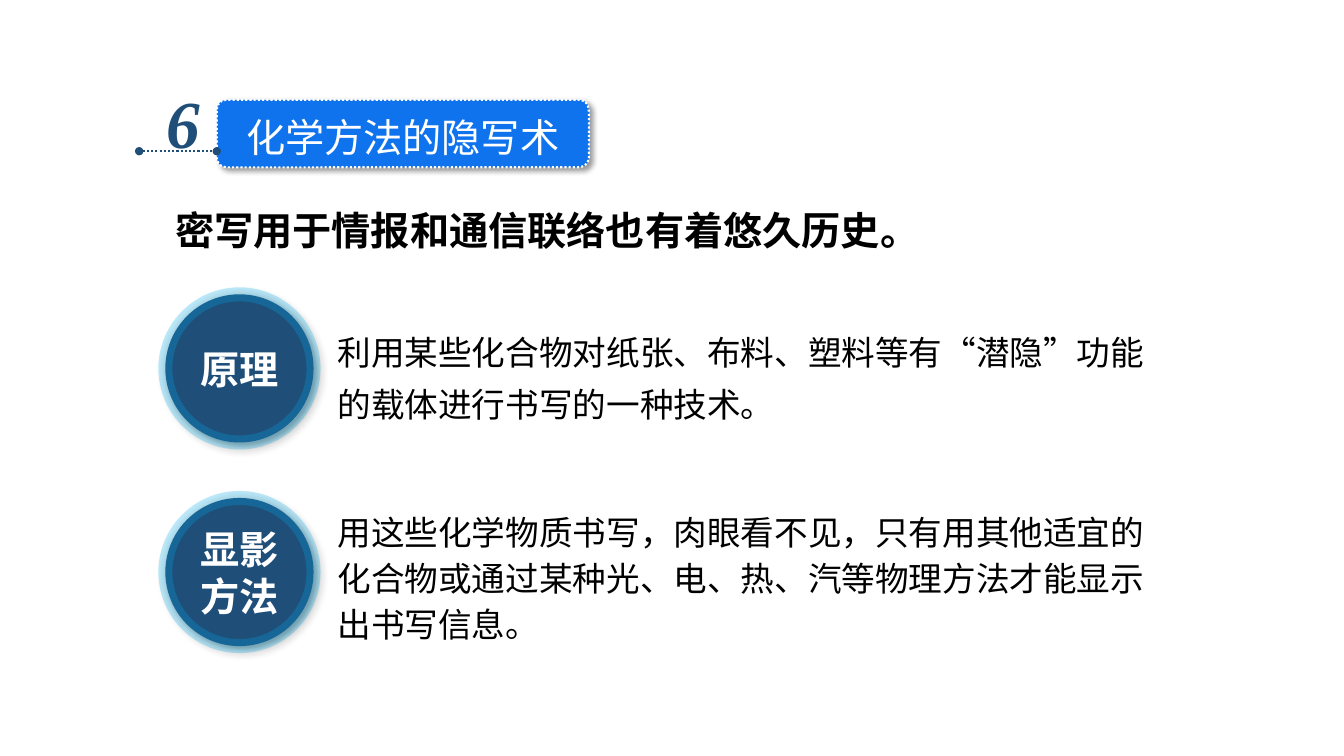
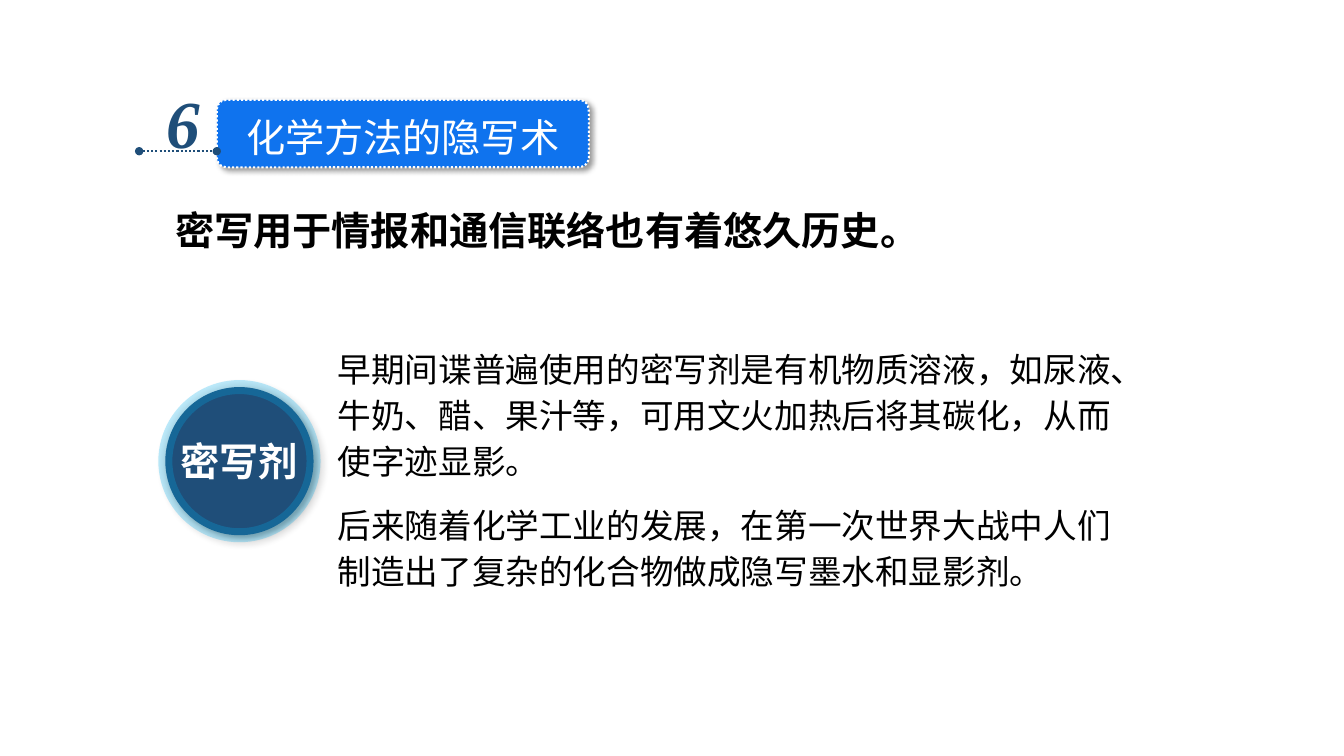
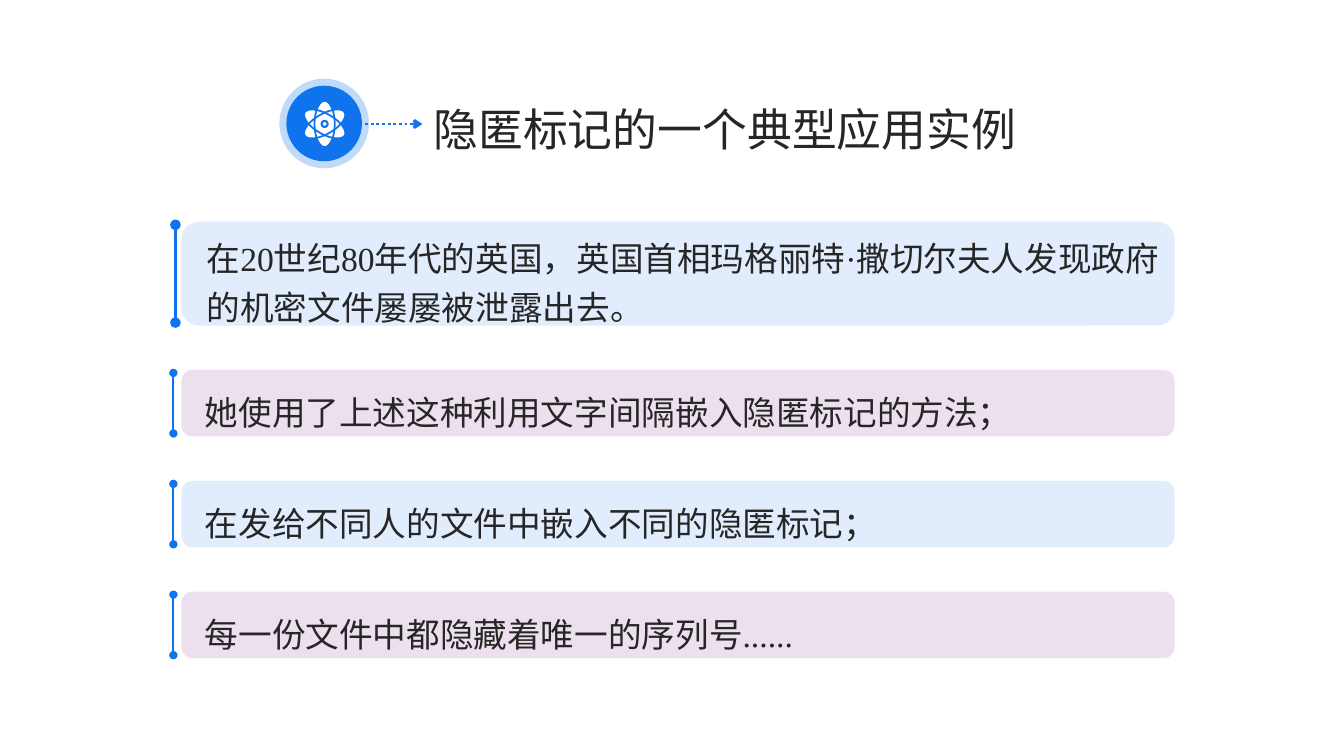
import pptx
import pptx.util
import pptx.dml.color
import pptx.enum.dml
import pptx.enum.lang
import pptx.enum.shapes
import pptx.enum.text
import pptx.oxml
import pptx.oxml.ns

Inches, Pt = pptx.util.Inches, pptx.util.Pt
qn = pptx.oxml.ns.qn
SHAPE = pptx.enum.shapes.MSO_SHAPE
ALIGN = pptx.enum.text.PP_ALIGN
ANCHOR = pptx.enum.text.MSO_ANCHOR

COLORS = {
    "blue": "0F73EE", "navy": "1F4E79", "sky": "00B0F0", "purple": "6E0876",
    "white": "FFFFFF", "black": "000000", "ink": "262626",
}
CJK, SERIF = "Noto Sans CJK SC", "Times New Roman"

# Text styles: font attributes, plus "color" and line "leading" in points
BODY = {"name": CJK, "size": Pt(24), "color": "black"}
STYLES = {
    "badge": {"name": CJK, "size": Pt(28), "color": "white", "leading": 33.6},
    "number": {"name": SERIF, "size": Pt(48), "bold": True, "italic": True,
               "color": "navy"},
    "lead": {"name": CJK, "size": Pt(28), "bold": True, "color": "black",
             "leading": 33.6},
    "disc": {"name": CJK, "size": Pt(28), "bold": True, "color": "white",
             "leading": 33.6},
    "loose": {**BODY, "leading": 37.4},
    "body": {**BODY, "leading": 32.8},
    "headline": {"name": CJK, "size": Pt(32), "color": "ink", "leading": 38.4},
    "row": {"name": SERIF, "size": Pt(24), "color": "ink", "leading": 34.6},
}


def rgb(name):
    return pptx.dml.color.RGBColor.from_string(COLORS[name])


def xml(tag, **attrs):
    el = pptx.oxml.parse_xml('<a:%s %s/>' % (tag, pptx.oxml.ns.nsdecls("a")))
    for key, value in attrs.items():
        el.set(key, str(value))
    return el


def set_alpha(parent, percent):
    clr = next(parent.iter(qn("a:srgbClr")))
    clr.append(xml("alpha", val=percent * 1000))


# Text
def write(sp, lines, style, align=ALIGN.LEFT, anchor=ANCHOR.TOP, wrap=True,
          insets=(0.1, 0.08, 0.1, 0.05)):
    tf = sp.text_frame
    tf.auto_size = pptx.enum.text.MSO_AUTO_SIZE.NONE
    tf.word_wrap = wrap
    tf.vertical_anchor = anchor
    for side, inset in zip(("left", "top", "right", "bottom"), insets):
        setattr(tf, "margin_" + side, Inches(inset))
    formats = dict(STYLES[style])
    color, leading = formats.pop("color"), formats.pop("leading", None)
    formats["language_id"] = pptx.enum.lang.MSO_LANGUAGE_ID.SIMPLIFIED_CHINESE
    for i, line in enumerate(lines):
        p = tf.add_paragraph() if i else tf.paragraphs[0]
        p.alignment = align
        p.space_before = Pt(0)
        if leading:
            p.line_spacing = Pt(leading)
        r = p.add_run()
        r.text = line
        for key, value in formats.items():
            setattr(r.font, key, value)
        r.font.color.rgb = rgb(color)
        r._r.get_or_add_rPr().append(xml("ea", typeface=CJK))


def add_text(s, box, text, style):
    sp = s.shapes.add_textbox(*map(Inches, box))
    write(sp, [text], style)


def set_title(s, box, text, style):
    sp = s.shapes.title
    sp.left, sp.top, sp.width, sp.height = map(Inches, box)
    write(sp, [text], style)
    s.shapes._spTree.append(sp._element)  # bring in front of the badge


# Shapes and lines
def add_shape(s, kind, box, fill=None, fill_alpha=None, line=None, width=1,
              line_alpha=None, shadow=False):
    sp = s.shapes.add_shape(kind, *map(Inches, box))
    sp.shadow.inherit = False
    if fill:
        sp.fill.solid()
        sp.fill.fore_color.rgb = rgb(fill)
        if fill_alpha:
            set_alpha(sp.fill._xPr.find(qn("a:solidFill")), fill_alpha)
    else:
        sp.fill.background()
    if line:
        sp.line.color.rgb = rgb(line)
        sp.line.width = Pt(width)
        if line_alpha:
            set_alpha(sp.line._get_or_add_ln(), line_alpha)
    else:
        sp.line.fill.background()
    if shadow:
        outer = xml("outerShdw", blurRad=Pt(4), dist=Pt(3), dir=45 * 60000,
                    algn="tl", rotWithShape=0)
        clr = xml("srgbClr", val=COLORS["black"])
        clr.append(xml("alpha", val=40000))
        outer.append(clr)
        sp._element.spPr.find(qn("a:effectLst")).append(outer)
    return sp


def add_line(s, start, end, color, width, dotted=False, head=None, tail=None):
    c = s.shapes.add_connector(pptx.enum.shapes.MSO_CONNECTOR.STRAIGHT,
                               *map(Inches, start + end))
    c.line.color.rgb = rgb(color)
    c.line.width = Pt(width)
    if dotted:
        c.line.dash_style = pptx.enum.dml.MSO_LINE.ROUND_DOT
    ln = c.line._get_or_add_ln()
    for tag, kind in (("headEnd", head), ("tailEnd", tail)):
        if kind:
            ln.append(xml(tag, type=kind))
    c._element.spPr.append(xml("effectLst"))


def add_disc(s, top, lines):
    sp = add_shape(s, SHAPE.OVAL, (1.64, top, 1.47, 1.47), "navy", line="sky",
                   width=10, line_alpha=25, shadow=True)
    write(sp, lines, "disc", ALIGN.CENTER, ANCHOR.MIDDLE, wrap=False,
          insets=(0, 0, 0, 0))


def add_atom(s, cx, cy):
    w, h, core = 0.2, 0.46, 0.06
    # White petals first, then the orbits over them
    for look in ({"fill": "white"}, {"line": "blue", "width": 1.25}):
        for angle in (0, 60, 120):
            sp = add_shape(s, SHAPE.OVAL, (cx - w / 2, cy - h / 2, w, h), **look)
            sp.rotation = angle
    add_shape(s, SHAPE.OVAL, (cx - core / 2, cy - core / 2, core, core),
              "white", line="blue", width=1.5)


def add_row(s, top, height, text, color, stem_x, stem_width):
    bar = add_shape(s, SHAPE.ROUNDED_RECTANGLE, (1.8, top, 9.85, height),
                    color, fill_alpha=12)
    write(bar, [text], "row", anchor=ANCHOR.MIDDLE, insets=(0.2, 0.1, 0.1, 0))
    add_line(s, (stem_x, top + 0.03), (stem_x, top + height - 0.03), "blue",
             stem_width, head="oval", tail="oval")


# Slides
def new_slide(prs):
    return prs.slides.add_slide(prs.slide_layouts[5])


def chemistry_slide(prs):
    s = new_slide(prs)
    badge = add_shape(s, SHAPE.ROUNDED_RECTANGLE, (2.15, 0.99, 3.69, 0.67),
                      "blue", line="white", width=1.5, shadow=True)
    badge.adjustments[0] = 0.14
    badge.line.dash_style = pptx.enum.dml.MSO_LINE.ROUND_DOT
    set_title(s, (2.34, 1.04, 3.4, 0.57), "化学方法的隐写术", "badge")
    add_text(s, (1.55, 0.73, 0.54, 0.91), "6", "number")
    add_line(s, (1.38, 1.5), (2.15, 1.5), "navy", 1.5, dotted=True,
             head="oval", tail="oval")
    add_text(s, (1.64, 1.97, 7.87, 0.57),
             "密写用于情报和通信联络也有着悠久历史。", "lead")
    return s


def example_slide(prs):
    s = new_slide(prs)
    add_shape(s, SHAPE.OVAL, (2.84, 0.85, 0.75, 0.75), "blue", line="blue",
              width=10, line_alpha=25)
    add_line(s, (3.51, 1.23), (4.19, 1.23), "blue", 2, dotted=True,
             tail="arrow")
    add_atom(s, 3.22, 1.23)
    set_title(s, (4.2, 0.93, 6.1, 0.64), "隐匿标记的一个典型应用实例", "headline")

    rows = [
        (1.03, "在20世纪80年代的英国，英国首相玛格丽特·撒切尔夫人发现"
               "政府的机密文件屡屡被泄露出去。"),
        (0.66, "她使用了上述这种利用文字间隔嵌入隐匿标记的方法；"),
        (0.66, "在发给不同人的文件中嵌入不同的隐匿标记；"),
        (0.66, "每一份文件中都隐藏着唯一的序列号......"),
    ]
    top, gap = 2.2, 0.44
    for i, (height, text) in enumerate(rows):
        stem = (1.72, 1.5) if i else (1.74, 2.5)
        add_row(s, top, height, text, ("blue", "purple")[i % 2], *stem)
        top += height + gap


def main():
    prs = pptx.Presentation()
    prs.slide_width, prs.slide_height = Inches(13.33), Inches(7.5)

    # Principle and developing method
    s = chemistry_slide(prs)
    add_disc(s, 2.92, ["原理"])
    add_text(s, (3.25, 3.09, 8.36, 1.11),
             "利用某些化合物对纸张、布料、塑料等有“潜隐”功能的载体进行书写的"
             "一种技术。", "loose")
    add_disc(s, 4.94, ["显影", "方法"])
    add_text(s, (3.25, 4.94, 8.36, 1.46),
             "用这些化学物质书写，肉眼看不见，只有用其他适宜的化合物或通过某种"
             "光、电、热、汽等物理方法才能显示出书写信息。", "body")

    # Secret inks
    s = chemistry_slide(prs)
    add_disc(s, 3.84, ["密写剂"])
    add_text(s, (3.25, 3.33, 8.15, 1.46),
             "早期间谍普遍使用的密写剂是有机物质溶液，如尿液、牛奶、醋、果汁等，"
             "可用文火加热后将其碳化，从而使字迹显影。", "body")
    add_text(s, (3.25, 4.87, 8.15, 1),
             "后来随着化学工业的发展，在第一次世界大战中人们制造出了复杂的化合物"
             "做成隐写墨水和显影剂。", "body")

    example_slide(prs)
    prs.save("out.pptx")


if __name__ == "__main__":
    main()
